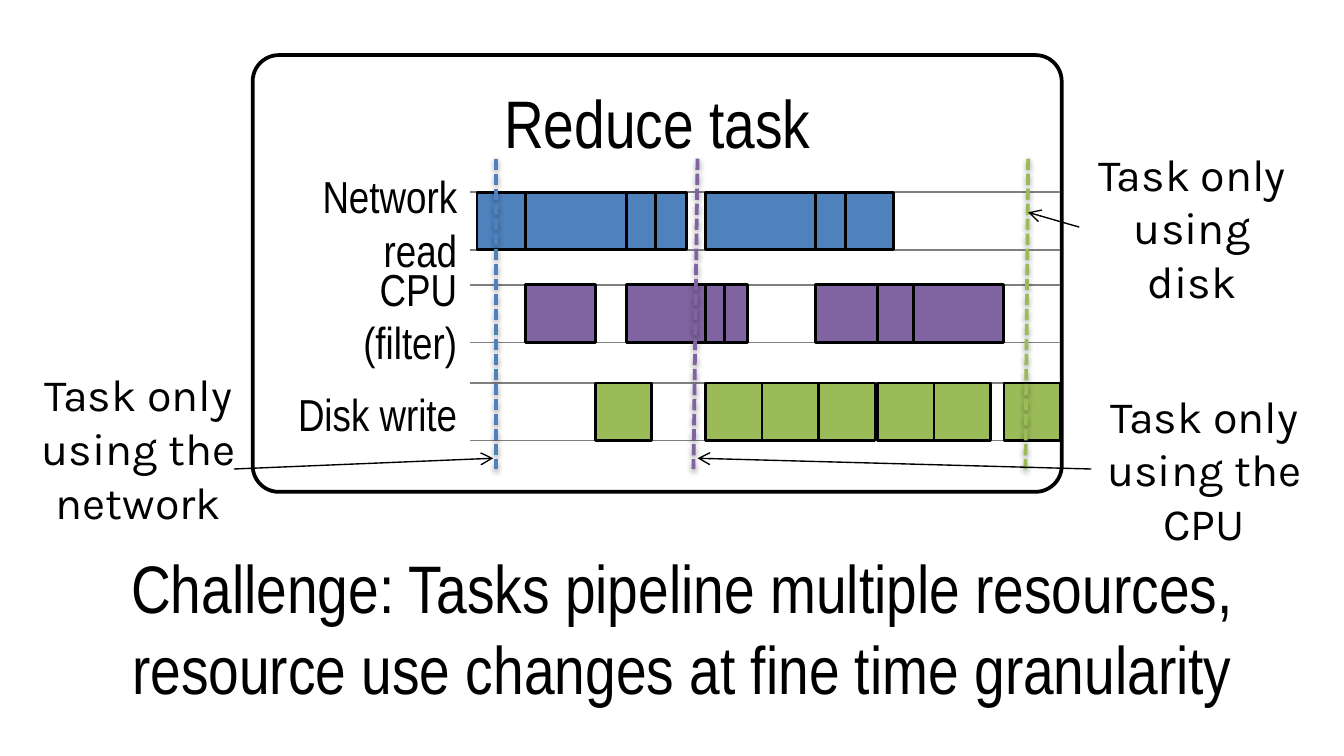
"""Build the slide on how a reduce task pipelines network, CPU and disk."""
import pptx
import pptx.dml.color
import pptx.enum.dml
import pptx.enum.shapes
import pptx.enum.text
import pptx.oxml
import pptx.util
from pptx.util import Inches

CHALLENGE = ["Challenge: Tasks pipeline multiple resources,",
             "resource use changes at fine time granularity"]
NETWORK, CPU, DISK = "4F81BD", "8064A2", "9BBB59"
BLACK, WHITE, GRAY = "000000", "FFFFFF", "7F7F7F"
NARROW, KARLA = "Arial Narrow", "Karla"
TIMELINE_LEFT, TIMELINE_RIGHT, LANE_HEIGHT = 3.5, 7.89, 0.43
MARKER_TOP, MARKER_BOTTOM = 1.18, 3.49

# label, label left, lane top, colour, (start, width) of each block
LANES = [
    ("Network read", 1.68, 1.43, NETWORK,
     [(3.55, 0.36), (3.91, 0.76), (4.66, 0.22), (4.88, 0.23),
      (5.25, 0.82), (6.07, 0.23), (6.29, 0.36)]),
    ("CPU (filter)", 2.01, 2.12, CPU,
     [(3.91, 0.52), (4.66, 0.59), (5.25, 0.17), (5.39, 0.17),
      (6.07, 0.46), (6.53, 0.27), (6.8, 0.67)]),
    ("Disk write", 2.01, 2.85, DISK,
     [(start, 0.42) for start in (4.43, 5.25, 5.67, 6.09, 6.53, 6.95, 7.47)]),
]
MARKERS = [(3.69, 3.69, NETWORK), (5.19, 5.16, CPU), (7.65, 7.63, DISK)]
CALLOUTS = [
    ("Task only using disk", (8.03, 1.21), (8.03, 1.69), (7.65, 1.58)),
    ("Task only using the network", (0.19, 2.85), (1.74, 3.49), (3.67, 3.41)),
    ("Task only using the CPU", (8.12, 3.01), (8.12, 3.49), (5.19, 3.41)),
]
NS = 'xmlns:a="http://schemas.openxmlformats.org/drawingml/2006/main"'
NO_EFFECT = f"<a:effectLst {NS}/>"
SHADOW = (f'<a:effectLst {NS}><a:outerShdw blurRad="39370" dist="20320" dir="5400000" '
          'rotWithShape="0"><a:srgbClr val="000000"><a:alpha val="38000"/></a:srgbClr>'
          '</a:outerShdw></a:effectLst>')
ARROWHEAD = f'<a:tailEnd {NS} type="arrow"/>'
ALIGN = pptx.enum.text.PP_ALIGN
SHAPE = pptx.enum.shapes.MSO_SHAPE


def rgb(value):
    return pptx.dml.color.RGBColor.from_string(value)


def write(frame, lines, size, font, align):
    frame.word_wrap = True
    frame.auto_size = pptx.enum.text.MSO_AUTO_SIZE.NONE
    frame.vertical_anchor = pptx.enum.text.MSO_ANCHOR.MIDDLE
    for number, line in enumerate(lines):
        paragraph = frame.add_paragraph() if number else frame.paragraphs[0]
        paragraph.alignment = align
        run = paragraph.add_run()
        run.text = line
        run.font.size = pptx.util.Pt(size)
        run.font.name = font
        run.font.color.rgb = rgb(BLACK)


def add_text(slide, box, text, size, font, align):
    frame = slide.shapes.add_textbox(*map(Inches, box)).text_frame
    write(frame, [text], size, font, align)


def add_box(slide, kind, box, fill, width):
    shape = slide.shapes.add_shape(kind, *map(Inches, box))
    shape.shadow.inherit = False
    shape.fill.solid()
    shape.fill.fore_color.rgb = rgb(fill)
    shape.line.color.rgb = rgb(BLACK)
    shape.line.width = pptx.util.Pt(width)
    return shape


def add_line(slide, start, end, color, width=0.75, effect=NO_EFFECT):
    connector = slide.shapes.add_connector(
        pptx.enum.shapes.MSO_CONNECTOR.STRAIGHT, *map(Inches, (*start, *end)))
    connector.line.color.rgb = rgb(color)
    connector.line.width = pptx.util.Pt(width)
    connector._element.spPr.append(pptx.oxml.parse_xml(effect))
    return connector


def main():
    deck = pptx.Presentation()
    deck.slide_width, deck.slide_height = Inches(10), Inches(10) * 9 // 16
    slide = deck.slides.add_slide(deck.slide_layouts[5])

    challenge = slide.shapes.title
    challenge.left, challenge.top = Inches(0.43), Inches(4.26)
    challenge.width, challenge.height = Inches(9.29), Inches(0.81)
    write(challenge.text_frame, CHALLENGE, 36, NARROW, ALIGN.CENTER)

    task = add_box(slide, SHAPE.ROUNDED_RECTANGLE, (1.88, 0.41, 6.02, 3.25), WHITE, 2)
    task.adjustments[0] = 0.06
    add_text(slide, (1.9, 0.54, 5.98, 0.73), "Reduce task", 36, NARROW, ALIGN.CENTER)

    for label, left, top, color, blocks in LANES:
        for y in (top, top + LANE_HEIGHT):
            add_line(slide, (TIMELINE_LEFT, y), (TIMELINE_RIGHT, y), GRAY)
        for start, width in blocks:
            add_box(slide, SHAPE.RECTANGLE, (start, top, width, LANE_HEIGHT), color, 1.5)
        add_text(slide, (left, top + 0.06, TIMELINE_LEFT - left, 0.33),
                 label, 24, NARROW, ALIGN.RIGHT)

    for upper, lower, color in MARKERS:
        marker = add_line(slide, (upper, MARKER_TOP), (lower, MARKER_BOTTOM),
                          color, 2, SHADOW)
        marker.line.dash_style = pptx.enum.dml.MSO_LINE.SQUARE_DOT

    for text, corner, start, end in CALLOUTS:
        add_text(slide, (*corner, 1.68, 0.96), text, 24, KARLA, ALIGN.CENTER)
        arrow = add_line(slide, start, end, BLACK)
        arrow.line._get_or_add_ln().append(pptx.oxml.parse_xml(ARROWHEAD))

    deck.save("out.pptx")


if __name__ == "__main__":
    main()
